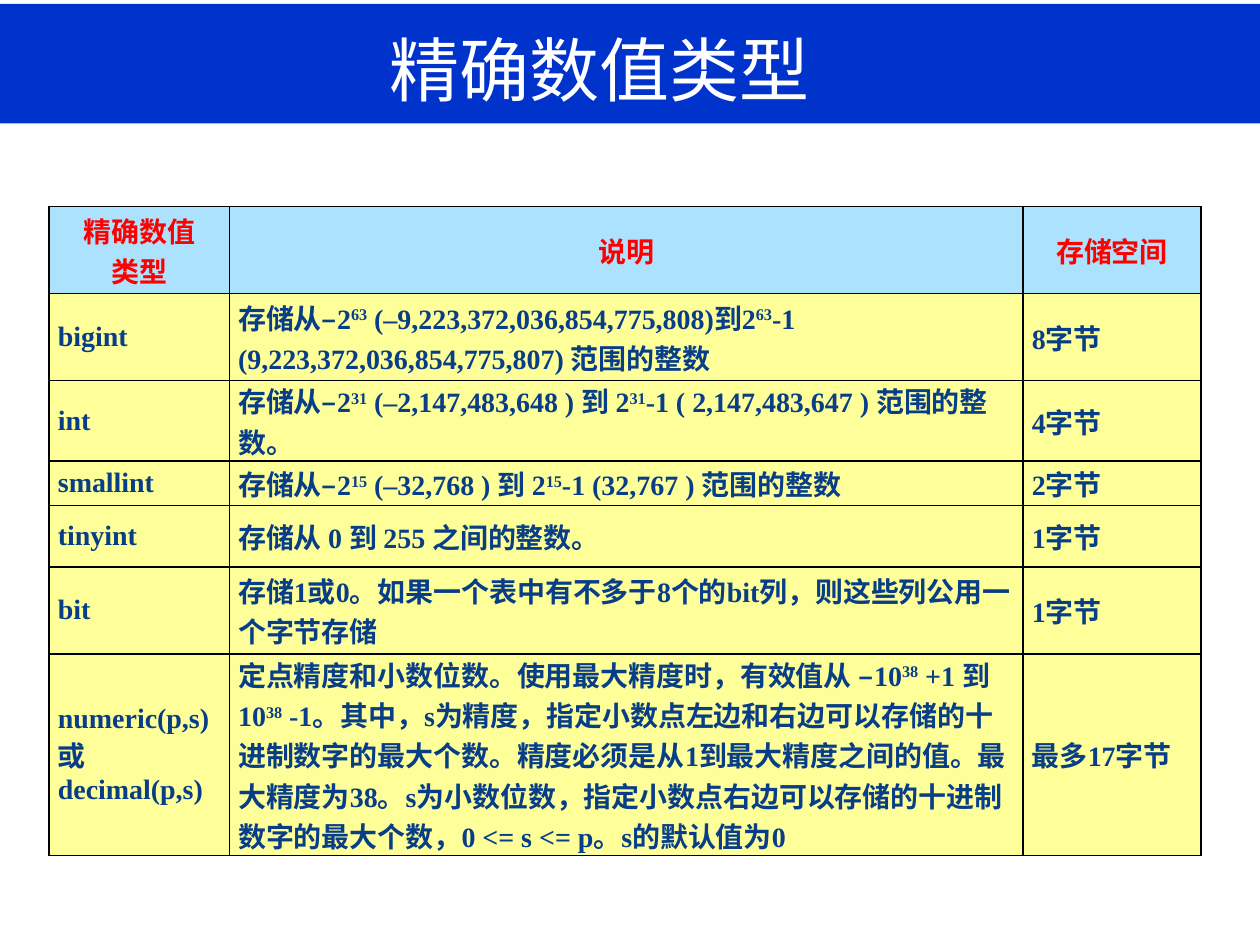
from dataclasses import dataclass, field

from lxml import etree
from pptx import Presentation
from pptx.dml.color import RGBColor
from pptx.enum.shapes import MSO_SHAPE
from pptx.enum.text import MSO_ANCHOR, PP_ALIGN
from pptx.oxml.ns import qn
from pptx.util import Inches, Pt

RECTANGLE = MSO_SHAPE.RECTANGLE
MIDDLE = MSO_ANCHOR.MIDDLE
LEFT, CENTER, JUSTIFY = PP_ALIGN.LEFT, PP_ALIGN.CENTER, PP_ALIGN.JUSTIFY

COLORS = {
    "band": "0033CC",
    "title": "FFFFFF",
    "header_fill": "ADE2FE",
    "header_text": "FF0000",
    "body_fill": "FFFF99",
    "body_text": "073E87",
    "border": "000000",
}
COLUMN_WIDTHS = [14.3, 63, 14.1]
ROW_HEIGHTS = [6.9, 6.9, 5.3, 3.5, 4.9, 6.9, 15]
ROWS = [
    ["精确数值\n类型", "说明", "存储空间"],
    ["bigint",
     "存储从–2^63^ (–9,223,372,036,854,775,808)到2^63^-1 (9,223,372,036,854,775,807) 范围的整数",
     "8字节"],
    ["int", "存储从–2^31^ (–2,147,483,648 ) 到 2^31^-1 ( 2,147,483,647 ) 范围的整数。", "4字节"],
    ["smallint", "存储从–2^15^ (–32,768 ) 到 2^15^-1 (32,767 ) 范围的整数", "2字节"],
    ["tinyint", "存储从 0 到 255 之间的整数。", "1字节"],
    ["bit", "存储1或0。如果一个表中有不多于8个的bit列，则这些列公用一个字节存储", "1字节"],
    ["numeric(p,s)\n或decimal(p,s)",
     "定点精度和小数位数。使用最大精度时，有效值从 –10^38^ +1 到 10^38^ -1。"
     "其中，s为精度，指定小数点左边和右边可以存储的十进制数字的最大个数。"
     "精度必须是从1到最大精度之间的值。最大精度为38。"
     "s为小数位数，指定小数点右边可以存储的十进制数字的最大个数，0 <= s <= p。s的默认值为0",
     "最多17字节"],
]


@dataclass
class SlideBuilder:
    """Draws styled elements on a slide split into 100 columns and 75 rows."""

    presentation: object
    unit: float = 0.1
    latin_font: str = "Times New Roman"
    asian_font: str = "Noto Sans CJK SC"
    slide: object = field(init=False)

    def __post_init__(self):
        """Set the slide size and add a title-only slide."""
        self.presentation.slide_width = self.size(100)
        self.presentation.slide_height = self.size(75)
        self.slide = self.presentation.slides.add_slide(self.presentation.slide_layouts[5])

    def size(self, cells):
        """Turn grid cells into a length."""
        return Inches(cells * self.unit)

    def box(self, *cells):
        """Turn left, top, width and height in grid cells into lengths."""
        return [self.size(value) for value in cells]

    def text(self, frame, content, points, color, alignment, latin_font, bold=False):
        """Write lines as paragraphs, with superscripts between carets."""
        for index, line in enumerate(content.split("\n")):
            paragraph = frame.add_paragraph() if index else frame.paragraphs[0]
            paragraph.alignment = alignment
            for position, part in enumerate(line.split("^")):
                run = paragraph.add_run()
                run.text = part
                run.font.size = Pt(points)
                run.font.bold = bold
                run.font.name = latin_font
                run.font.color.rgb = RGBColor.from_string(COLORS[color])
                properties = run._r.get_or_add_rPr()
                etree.SubElement(properties, qn("a:ea"), typeface=self.asian_font)
                if position % 2:
                    properties.set("baseline", "30000")

    def band(self, *cells):
        """Add a filled band behind everything else."""
        shape = self.slide.shapes.add_shape(RECTANGLE, *self.box(*cells))
        shape.shadow.inherit = False
        shape.fill.solid()
        shape.fill.fore_color.rgb = RGBColor.from_string(COLORS["band"])
        shape.line.fill.background()
        self.slide.shapes._spTree.insert(2, shape._element)

    def title(self, content, *cells):
        """Place and fill the title placeholder."""
        shape = self.slide.shapes.title
        shape.left, shape.top, shape.width, shape.height = self.box(*cells)
        shape.text_frame.vertical_anchor = MIDDLE
        self.text(shape.text_frame, content, 40, "title", CENTER, self.asian_font)

    def borders(self, cell):
        """Draw a thin line on all four sides of a cell."""
        properties = cell._tc.get_or_add_tcPr()
        for index, side in enumerate(("lnL", "lnR", "lnT", "lnB")):
            line = etree.Element(qn(f"a:{side}"), w=str(Pt(1)))
            fill = etree.SubElement(line, qn("a:solidFill"))
            etree.SubElement(fill, qn("a:srgbClr"), val=COLORS["border"])
            properties.insert(index, line)

    def cell(self, cell, content, kind, alignment):
        """Format and fill one table cell."""
        cell.margin_left = cell.margin_right = Inches(0.07)
        cell.margin_top = cell.margin_bottom = 0
        cell.vertical_anchor = MIDDLE
        cell.fill.solid()
        cell.fill.fore_color.rgb = RGBColor.from_string(COLORS[f"{kind}_fill"])
        self.borders(cell)
        self.text(cell.text_frame, content, 16, f"{kind}_text", alignment, self.latin_font, True)

    def table(self, left, top, widths, heights, rows):
        """Add a table with a header row and a wide description column."""
        bounds = self.box(left, top, sum(widths), sum(heights))
        table = self.slide.shapes.add_table(len(rows), len(widths), *bounds).table
        table.horz_banding = False
        for column, width in zip(table.columns, widths):
            column.width = self.size(width)
        for row_index, (height, row) in enumerate(zip(heights, rows)):
            table.rows[row_index].height = self.size(height)
            for column_index, content in enumerate(row):
                wraps = column_index == 1 and height > 5
                alignment = LEFT if wraps else JUSTIFY
                kind = "body" if row_index else "header"
                self.cell(table.cell(row_index, column_index), content, kind,
                          alignment if row_index else CENTER)


def main():
    """Build and save the slide."""
    presentation = Presentation()
    builder = SlideBuilder(presentation)
    builder.band(-0.3, 0.3, 100.3, 9.5)
    builder.title("精确数值类型", 4.2, 1.7, 86.8, 7.5)
    builder.table(3.9, 16.4, COLUMN_WIDTHS, ROW_HEIGHTS, ROWS)
    presentation.save("out.pptx")


if __name__ == "__main__":
    main()
